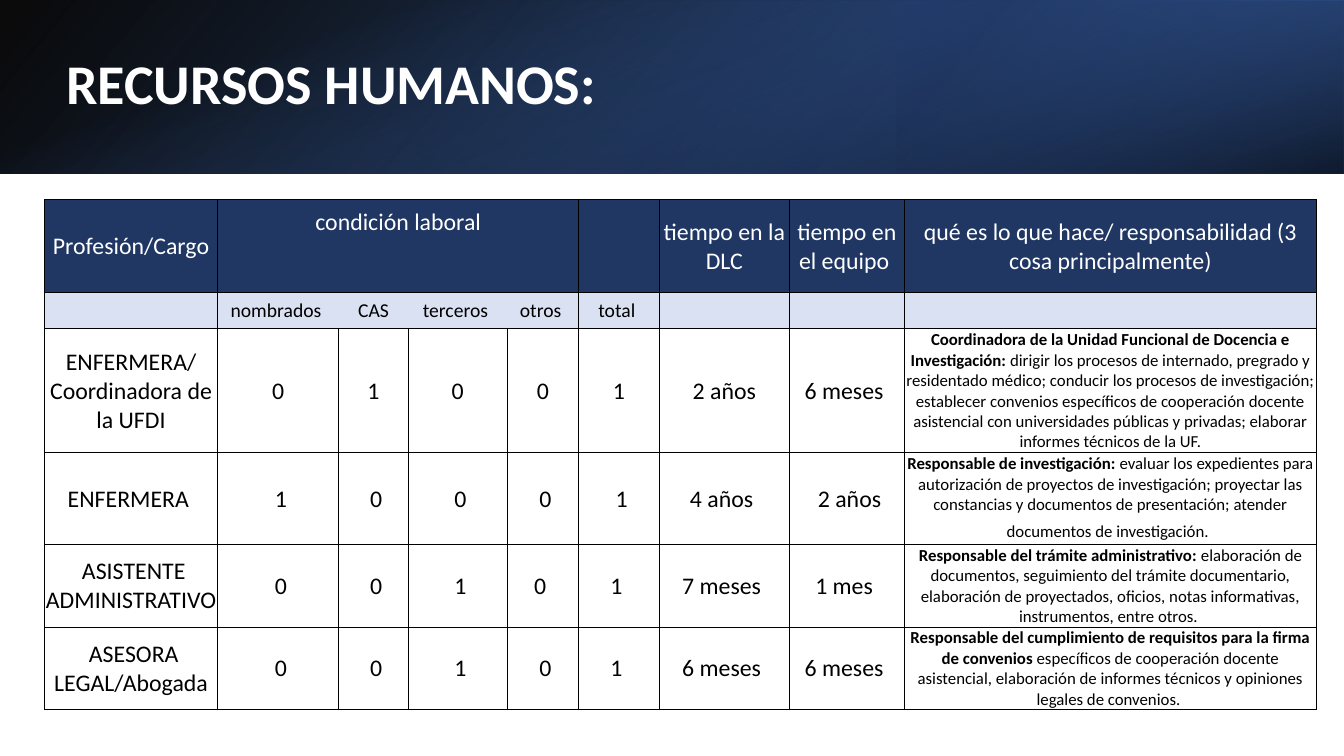
from lxml import etree
from pptx import Presentation
from pptx.dml.color import RGBColor
from pptx.enum.shapes import MSO_SHAPE
from pptx.enum.text import MSO_ANCHOR, PP_ALIGN
from pptx.oxml import parse_xml
from pptx.util import Inches, Pt

RECTANGLE = MSO_SHAPE.RECTANGLE
TOP, MIDDLE = MSO_ANCHOR.TOP, MSO_ANCHOR.MIDDLE
CENTER = PP_ALIGN.CENTER
FONT = "Calibri"
NAVY, PALE, WHITE, BLACK = "203764", "D9E1F2", "FFFFFF", "000000"
NAMESPACE = "http://schemas.openxmlformats.org/drawingml/2006/main"


def set_font(font, size, color):
    font.name = FONT
    font.size = Pt(size)
    font.color.rgb = RGBColor.from_string(color)


def add_border(cell, index, side, visible):
    paint = f'<a:solidFill><a:srgbClr val="{BLACK}"/></a:solidFill>' if visible else "<a:noFill/>"
    line = parse_xml(f'<a:{side} xmlns:a="{NAMESPACE}" w="6350">{paint}</a:{side}>')
    cell._tc.get_or_add_tcPr().insert(index, line)


deck = Presentation()
deck.slide_width, deck.slide_height = Inches(13.33), Inches(7.5)
page = deck.slides.add_slide(deck.slide_layouts[6])

# Header band: three layered gradients (stops are position, colour, opacity in percent)
bands = [
    ((0, 0, 13.33, 1.72), 0, True, 140, [(0, BLACK, 96), (100, "2F5597", 100)]),
    ((8.89, 0, 4.44, 1.72), 180, True, 320, [(19, "203864", 68), (100, "4472C4", 79)]),
    ((5.8, -5.8, 1.72, 13.33), 90, False, 340, [(23, "4472C4", 0), (99, BLACK, 74)]),
]
for place, rotation, flipped, angle, stops in bands:
    band = page.shapes.add_shape(RECTANGLE, *map(Inches, place))
    band.shadow.inherit = False
    band.line.fill.background()
    band.rotation = rotation
    properties = band._element.spPr
    if flipped:
        properties.xfrm.set("flipH", "1")
    gradient = etree.Element(f"{{{NAMESPACE}}}gradFill", rotWithShape="1")
    stop_list = etree.SubElement(gradient, f"{{{NAMESPACE}}}gsLst")
    for position, color, opacity in stops:
        stop = etree.SubElement(stop_list, f"{{{NAMESPACE}}}gs", pos=str(position * 1000))
        tint = etree.SubElement(stop, f"{{{NAMESPACE}}}srgbClr", val=color)
        etree.SubElement(tint, f"{{{NAMESPACE}}}alpha", val=str(opacity * 1000))
    etree.SubElement(gradient, f"{{{NAMESPACE}}}lin", ang=str(angle * 60000), scaled="0")
    properties.insert(2, gradient)

# Title
title = page.shapes.add_textbox(Inches(0.56), Inches(0.38), Inches(10.98), Inches(0.96))
title.text_frame.word_wrap = True
title.text_frame.vertical_anchor = MIDDLE
para = title.text_frame.paragraphs[0]
para.text = "RECURSOS HUMANOS:"
para.line_spacing = 0.9
para.font.bold = True
set_font(para.font, 40, WHITE)

# Staff table: "~" is a no-break space, "|" ends the bold part of a duty
rows = [
    ["Profesión/Cargo", "condición laboral", "", "", "", "", "tiempo en la DLC",
     "tiempo en el equipo ", "qué es lo que hace/ responsabilidad (3 cosa principalmente)"],
    ["", "nombrados ", "CAS", "terceros ", "otros ", "total ", "", "", ""],
    ["ENFERMERA/Coordinadora de la UFDI", "0", "1", "0", "0", "1", "2 años", "6 meses ",
     "Coordinadora de la Unidad Funcional de Docencia e Investigación: |dirigir los procesos de "
     "internado, pregrado y residentado médico; conducir los procesos de investigación; "
     "establecer convenios específicos de cooperación docente asistencial con universidades "
     "públicas y privadas; elaborar informes técnicos de la UF."],
    ["ENFERMERA~", "~1", "~0", "~0", "~0", "~1", "4 años~", "~2 años",
     "Responsable de investigación: |evaluar los expedientes para autorización de proyectos de "
     "investigación; proyectar las constancias y documentos de presentación; atender documentos "
     "de investigación.|~"],
    ["~ASISTENTE ADMINISTRATIVO", "~0", "~0", "~1", "0~", "1~", "7 meses~", "1 mes~",
     "Responsable del trámite administrativo: |elaboración de documentos, seguimiento del "
     "trámite documentario, elaboración de proyectados, oficios, notas informativas, "
     "instrumentos, entre otros.~"],
    ["~ASESORA LEGAL/Abogada", "~0", "~0", "~1", "~0", "1~", "6 meses~", "6 meses~",
     "Responsable del cumplimiento de requisitos para la firma de convenios |específicos de "
     "cooperación docente asistencial, elaboración de informes técnicos y opiniones legales de "
     "convenios.~"],
]
widths = [1.72, 1.2, 0.69, 0.98, 0.71, 0.8, 1.29, 1.14, 4.09]
heights = [0.92, 0.36, 1.23, 0.91, 0.82, 0.82]
frame = page.shapes.add_table(len(rows), len(widths), Inches(0.44), Inches(1.98),
                              Inches(sum(widths)), Inches(sum(heights)))
table = frame.table
table.first_row = table.horz_banding = False
for column, width in zip(table.columns, widths):
    column.width = Inches(width)
for table_row, height in zip(table.rows, heights):
    table_row.height = Inches(height)
table.cell(0, 1).merge(table.cell(0, 4))

row_fills = {0: NAVY, 1: PALE}
for r, texts in enumerate(rows):
    for c, text in enumerate(texts):
        cell = table.cell(r, c)
        wide = (r, c) == (0, 1)
        cell.vertical_anchor = TOP if wide else MIDDLE
        cell.margin_left = cell.margin_right = Inches(0.15 if wide else 0.01)
        cell.margin_top = Inches(0.08 if wide else 0.01)
        cell.margin_bottom = Inches(0.08 if wide else 0)
        if r in row_fills:
            cell.fill.solid()
            cell.fill.fore_color.rgb = RGBColor.from_string(row_fills[r])
        else:
            cell.fill.background()

        # The four contract kinds share one box in the second row
        hidden = []
        if r == 1 and 2 <= c <= 4:
            hidden.append("lnL")
        if r == 1 and 1 <= c <= 3:
            hidden.append("lnR")
        for index, side in enumerate(["lnL", "lnR", "lnT", "lnB"]):
            add_border(cell, index, side, side not in hidden)

        para = cell.text_frame.paragraphs[0]
        para.alignment = CENTER
        duty = r > 1 and c == 8
        set_font(para.font, 12 if duty else 14 if r == 1 else 17, WHITE if r == 0 else BLACK)
        for part, words in enumerate(text.replace("~", "\u00a0").split("|")):
            if words:
                span = para.add_run()
                span.text = words
                if duty:
                    span.font.bold = part == 0
                if part == 2:
                    span.font.size = Pt(17)

deck.save("out.pptx")
